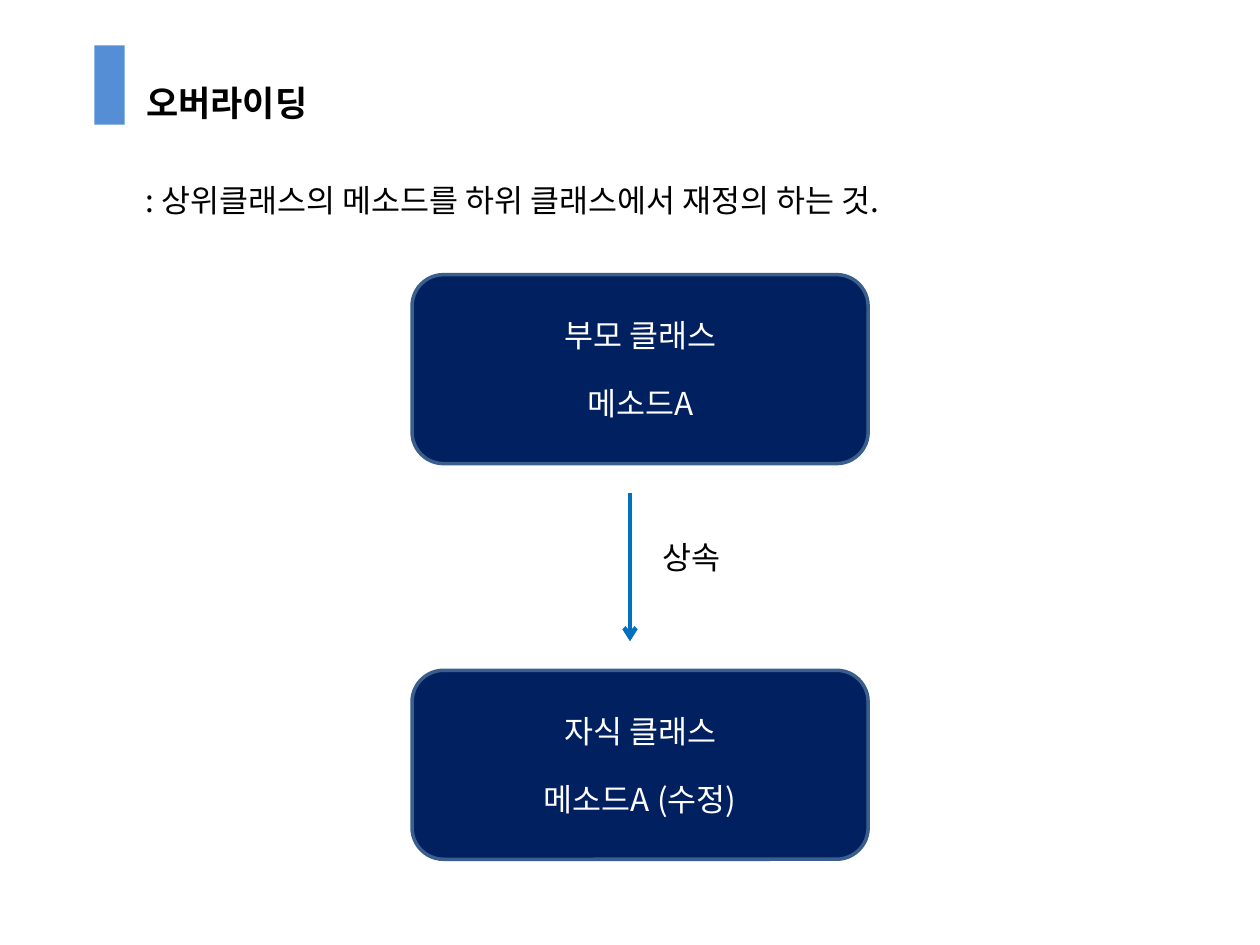
from lxml import etree
from pptx import Presentation
from pptx.dml.color import RGBColor
from pptx.enum.shapes import MSO_CONNECTOR, MSO_SHAPE
from pptx.enum.text import MSO_ANCHOR, MSO_AUTO_SIZE, PP_ALIGN
from pptx.oxml.ns import qn
from pptx.util import Inches, Pt

RECT, ROUND = MSO_SHAPE.RECTANGLE, MSO_SHAPE.ROUNDED_RECTANGLE
STRAIGHT = MSO_CONNECTOR.STRAIGHT
TOP, MIDDLE = MSO_ANCHOR.TOP, MSO_ANCHOR.MIDDLE
LEFT, CENTER = PP_ALIGN.LEFT, PP_ALIGN.CENTER
FONT = "Noto Sans CJK KR"

TITLE = "오버라이딩"
NOTES = [
    (": 상위클래스의 메소드를 하위 클래스에서 재정의 하는 것.", (1.06, 1.39, 7.4, 0.4)),
    ("상속", (5.16, 4.22, 0.94, 0.4)),
]
BOXES = [
    ["부모 클래스", "메소드A"],
    ["자식 클래스", "메소드A (수정)"],
]
BOX_X, BOX_Y, BOX_W, BOX_H = 3.27, 2.18, 3.62, 1.5
STEP = 3.14
ARROW_X, ARROW_GAP = 5, 0.23


def color(code):
    """Turn a hex string into a colour."""
    return RGBColor.from_string(code)


def write(shape, lines, size=18, ink="000000", bold=False, align=LEFT,
          anchor=TOP, gap=0):
    """Fill a shape with one paragraph per line of text."""
    frame = shape.text_frame
    frame.word_wrap = True
    frame.auto_size = MSO_AUTO_SIZE.NONE
    frame.vertical_anchor = anchor
    for i, line in enumerate(lines):
        para = frame.add_paragraph() if i else frame.paragraphs[0]
        para.alignment = align
        para.space_before = Pt(gap if i else 0)
        run = para.add_run()
        run.text = line
        font = run.font
        font.name, font.size, font.bold = FONT, Pt(size), bold
        font.color.rgb = color(ink)
        east = etree.SubElement(font._element, qn("a:ea"))
        east.set("typeface", FONT)


def block(kind, area, fill, edge=None):
    """Add a filled shape, with an outline if an edge colour is given."""
    shape = slide.shapes.add_shape(kind, *map(Inches, area))
    shape.shadow.inherit = False
    shape.fill.solid()
    shape.fill.fore_color.rgb = color(fill)
    if edge:
        shape.line.color.rgb = color(edge)
        shape.line.width = Pt(2)
    else:
        shape.line.fill.background()
    return shape


def arrow(x, top, end, ink):
    """Add an arrow that points down."""
    line = slide.shapes.add_connector(
        STRAIGHT, Inches(x), Inches(top), Inches(x), Inches(end))
    line.line.color.rgb = color(ink)
    line.line.width = Pt(2.5)
    etree.SubElement(line.line._get_or_add_ln(), qn("a:tailEnd"), type="arrow")
    etree.SubElement(line._element.spPr, qn("a:effectLst"))


deck = Presentation()
deck.slide_width, deck.slide_height = Inches(10), Inches(7.5)
slide = deck.slides.add_slide(deck.slide_layouts[5])

title = slide.shapes.title
title.left, title.top = Inches(1.06), Inches(0.6)
title.width, title.height = Inches(7.4), Inches(0.44)
write(title, [TITLE], size=20, bold=True)

for text, area in NOTES:
    note = slide.shapes.add_textbox(*map(Inches, area))
    write(note, [text])

for i, lines in enumerate(BOXES):
    area = (BOX_X, BOX_Y + i * STEP, BOX_W, BOX_H)
    box = block(ROUND, area, "002060", "3A5F8C")
    write(box, lines, ink="FFFFFF", align=CENTER, anchor=MIDDLE, gap=17)

arrow(ARROW_X, BOX_Y + BOX_H + ARROW_GAP, BOX_Y + STEP - ARROW_GAP, "0070C0")
block(RECT, (0.75, 0.36, 0.24, 0.63), "558ED5")

deck.save("out.pptx")
